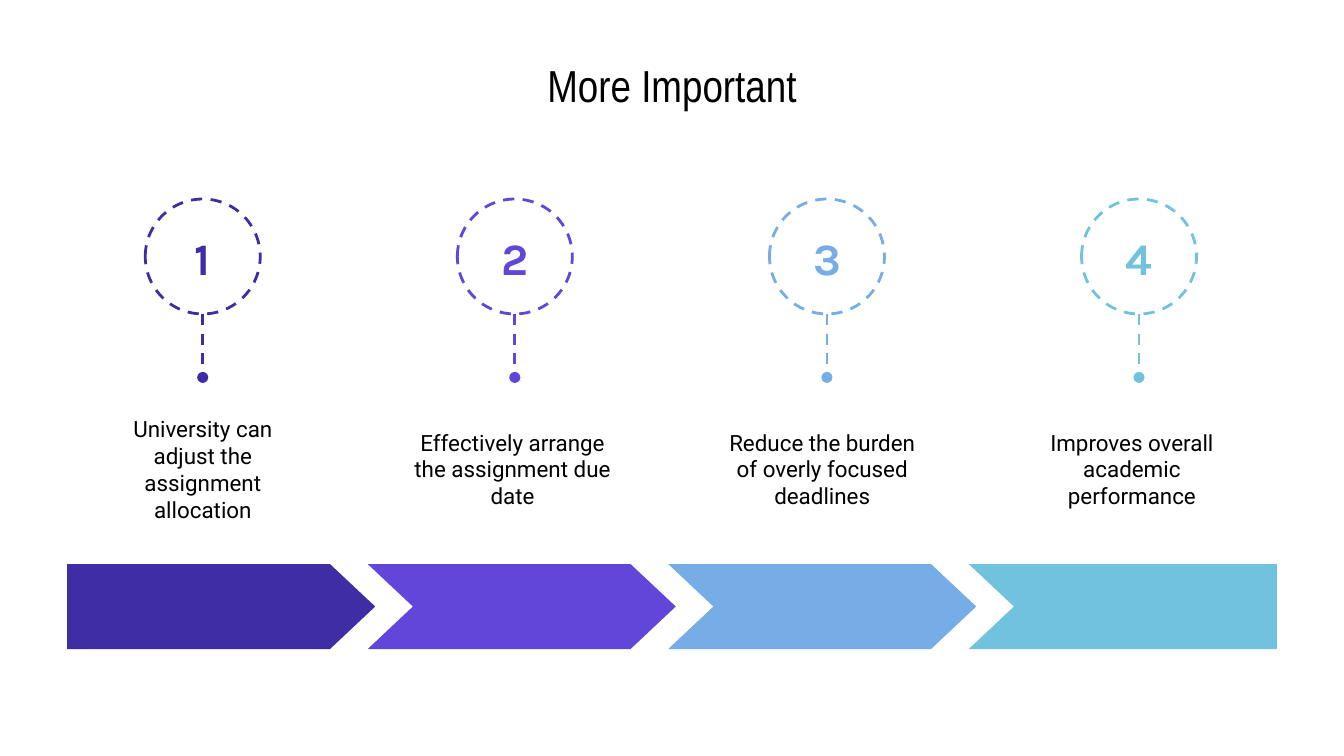
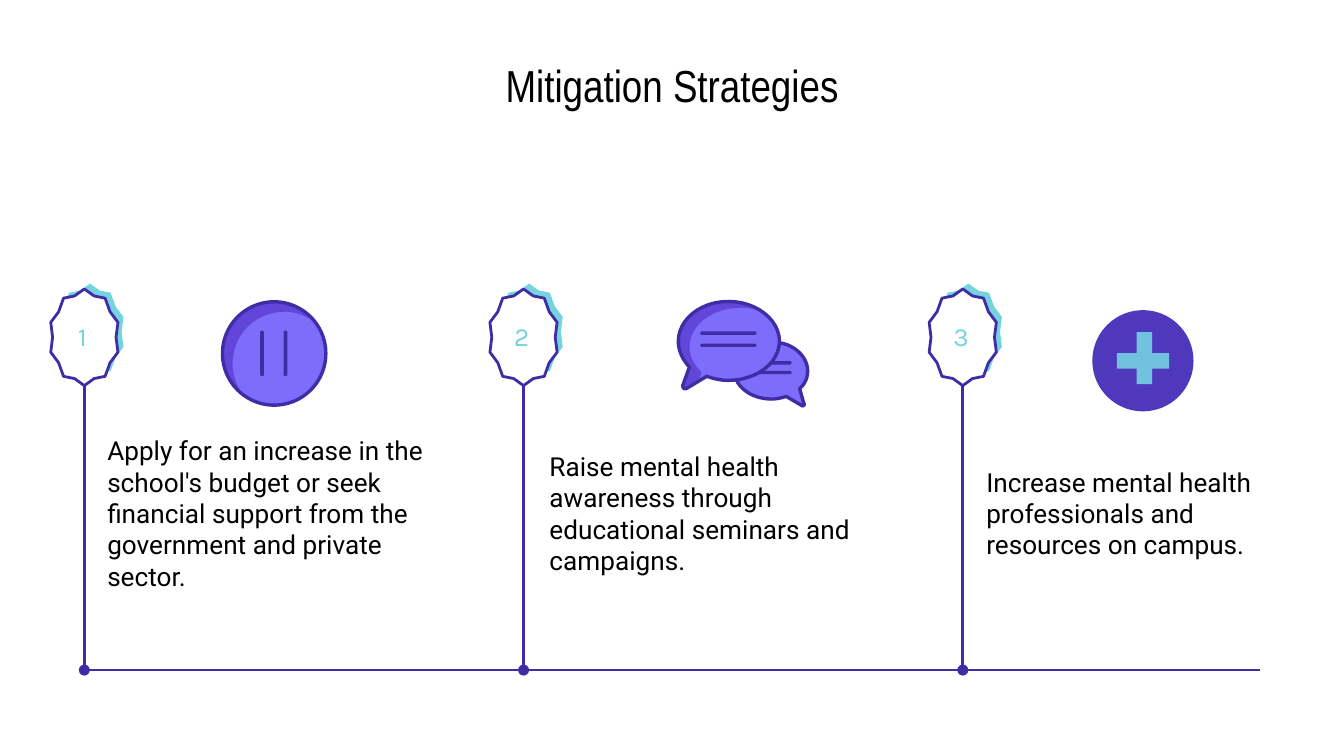
from dataclasses import dataclass
from typing import Optional

from lxml import etree
from pptx import Presentation
from pptx import util as u
from pptx.dml.color import RGBColor
from pptx.enum import dml, shapes, text
from pptx.oxml.ns import qn

Pt = u.Pt
Kind = shapes.MSO_SHAPE
CENTER, LEFT = text.PP_ALIGN.CENTER, text.PP_ALIGN.LEFT

# Shared look
INDIGO, VIOLET, LAVENDER = "3F2DA5", "6146D9", "7E6CFB"
SKY, AQUA, TEAL = "77ADE6", "70C2DF", "74D3DC"
PLUM, WHITE, BLACK = "5038BC", "FFFFFF", "000000"
TITLE_FONT, NUMBER_FONT, BODY_FONT = "Arial Narrow", "Karla", "Roboto"
STROKE = 1.5
ICON_STROKE = 1.8


@dataclass
class Box:
    left: float
    top: float
    width: float
    height: float

    def lengths(self):
        return Pt(self.left), Pt(self.top), Pt(self.width), Pt(self.height)


@dataclass
class Stage:
    color: str
    benefit: str


@dataclass
class Strategy:
    wording: str
    left: float
    width: float


STAGES = [
    Stage(INDIGO, "University can adjust the assignment allocation"),
    Stage(VIOLET, "Effectively arrange the assignment due date"),
    Stage(SKY, "Reduce the burden of overly focused deadlines"),
    Stage(AQUA, "Improves overall academic performance"),
]

STRATEGIES = [
    Strategy("Apply for an increase in the school's budget or seek financial "
             "support from the government and private sector.", 50.4, 192.2),
    Strategy("Raise mental health awareness through educational seminars and campaigns.",
             287.3, 191.5),
    Strategy("Increase mental health professionals and resources on campus.",
             521.3, 174.2),
]

# Icon outlines: a pair is a straight step, six numbers are a Bézier curve
COIN_SHADE = [
    (146.9, 162), (131.8, 162, 118.8, 174.2, 118.8, 189.4),
    (118.8, 198.7, 123.8, 206.6, 130.3, 211.7),
    (126.7, 206.6, 124.6, 200.9, 124.6, 195.1),
    (124.6, 179.3, 136.8, 167, 152.6, 167),
    (158.4, 167, 164.2, 169.2, 169.2, 172.8),
    (164.2, 166.3, 156.2, 162, 146.9, 162),
]
BUBBLE_SIDE = [
    (390.2, 161.5), (375.1, 161.5, 363.4, 171.4, 363.4, 182.8),
    (363.4, 187.9, 365.8, 193, 369.4, 196.6), (365.8, 206.6),
    (365.8, 207.6, 366.5, 208.8, 367.9, 208.1),
]
BUBBLE = BUBBLE_SIDE + [
    (378.7, 201.6), (382.3, 203, 386.6, 203.8, 390.2, 203.8),
    (405.4, 203.8, 417.6, 194.4, 417.6, 182.8),
    (417.6, 171.4, 405.4, 161.5, 390.2, 161.5),
]
BUBBLE_SHADE = BUBBLE_SIDE + [
    (374.4, 204.5), (375.8, 199.4),
    (372.2, 195.8, 369.4, 191.5, 369.4, 185.8),
    (369.4, 174.2, 381.6, 164.9, 396.7, 164.9),
    (401, 164.9, 405.4, 165.6, 409, 167),
    (403.9, 163.4, 397.4, 161.5, 390.2, 161.5),
]
REPLY_BUBBLE = [
    (417.6, 183.6), (426.2, 185, 432.7, 191.5, 432.7, 198.7),
    (432.7, 202.3, 431.3, 205.9, 428.4, 208.1), (430.6, 216),
    (431.3, 216.7, 430.6, 217.6, 429.8, 217.4), (421.2, 212.4),
    (419, 213.1, 416.2, 213.8, 413.3, 213.8),
    (404.6, 213.8, 397.4, 209.5, 394.6, 203.8),
]
ICON_BARS = [
    Box(139.4, 177.1, 2, 24.5), Box(151.9, 177.1, 2, 24.5),
    Box(375.1, 177.6, 30.2, 1.8), Box(375.1, 184.1, 30.2, 1.8),
    Box(412.6, 193.5, 11.5, 1.8), Box(406.1, 198.7, 18, 1.8),
]


def rgb(color: str) -> RGBColor:
    return RGBColor.from_string(color)


def paint(shape, fill: Optional[str], line: Optional[str] = None,
          width: float = STROKE, dashed: bool = False) -> None:
    shape.shadow.inherit = False
    if fill:
        shape.fill.solid()
        shape.fill.fore_color.rgb = rgb(fill)
    else:
        shape.fill.background()
    if line:
        stroke(shape.line, line, width, dashed)
    else:
        shape.line.fill.background()


def stroke(line, color: str, width: float = STROKE, dashed: bool = False) -> None:
    line.color.rgb = rgb(color)
    line.width = Pt(width)
    if dashed:
        line.dash_style = dml.MSO_LINE.DASH


def add_preset(slide, kind, box: Box, fill: Optional[str], line: Optional[str] = None,
               width: float = STROKE, dashed: bool = False):
    shape = slide.shapes.add_shape(kind, *box.lengths())
    paint(shape, fill, line, width, dashed)
    return shape


def flatten(steps: list, pieces: int = 12) -> list:
    """Turn straight and Bézier steps into a list of corner points."""
    points = [steps[0]]
    for step in steps[1:]:
        if len(step) == 2:
            points.append(step)
            continue
        curve = (points[-1], step[:2], step[2:4], step[4:])
        for n in range(1, pieces + 1):
            t = n / pieces
            weights = ((1 - t) ** 3, 3 * t * (1 - t) ** 2, 3 * t * t * (1 - t), t ** 3)
            points.append(tuple(sum(w * p[axis] for w, p in zip(weights, curve))
                                for axis in (0, 1)))
    return points


def add_outline(slide, steps: list, fill: Optional[str], line: Optional[str] = None,
                width: float = ICON_STROKE) -> None:
    start, *rest = [(Pt(x), Pt(y)) for x, y in flatten(steps)]
    builder = slide.shapes.build_freeform(*start)
    builder.add_line_segments(rest, close=True)
    paint(builder.convert_to_shape(), fill, line, width)


def add_line(slide, x1: float, y1: float, x2: float, y2: float, color: str,
             dashed: bool = False, dot: bool = False) -> None:
    connector = slide.shapes.add_connector(shapes.MSO_CONNECTOR.STRAIGHT,
                                           Pt(x1), Pt(y1), Pt(x2), Pt(y2))
    stroke(connector.line, color, dashed=dashed)
    properties = connector._element.spPr
    if dot:
        etree.SubElement(properties.find(qn("a:ln")), qn("a:tailEnd"), type="oval")
    etree.SubElement(properties, qn("a:effectLst"))


def add_text(slide, box: Box, wording: str, font: str, size: float,
             color: str = BLACK, align=CENTER, bold: bool = False) -> None:
    frame = slide.shapes.add_textbox(*box.lengths()).text_frame
    frame.word_wrap = True
    frame.auto_size = text.MSO_AUTO_SIZE.NONE
    frame.vertical_anchor = text.MSO_ANCHOR.MIDDLE
    frame.margin_left = frame.margin_right = Pt(7.2)
    frame.margin_top = frame.margin_bottom = Pt(7.2)
    paragraph = frame.paragraphs[0]
    paragraph.text = wording
    paragraph.alignment = align
    paragraph.font.name = font
    paragraph.font.size = Pt(size)
    paragraph.font.bold = bold
    paragraph.font.color.rgb = rgb(color)


def add_titled_slide(deck, title: str):
    slide = deck.slides.add_slide(deck.slide_layouts[6])
    add_text(slide, Box(36, 32.4, 648, 25.9), title, TITLE_FONT, 24)
    return slide


def add_arrow(slide, index: int, color: str) -> None:
    """One link of the arrow band; its outer ends are flat."""
    left, top, bottom, point = 36 + 161 * index, 302.2, 347.7, 24.2
    right, middle = left + 165, (top + bottom) / 2
    corners = [(left, top)]
    if index > 0:
        corners.append((left + point, middle))
    corners.append((left, bottom))
    if index < len(STAGES) - 1:
        corners += [(right - point, bottom), (right, middle), (right - point, top)]
    else:
        corners += [(right, bottom), (right, top)]
    add_outline(slide, corners, color)


def build_importance(deck) -> None:
    slide = add_titled_slide(deck, "More Important")
    for i, stage in enumerate(STAGES):
        center = 108.6 + 167.2 * i
        add_arrow(slide, i, stage.color)
        add_preset(slide, Kind.OVAL, Box(center - 30.8, 106.6, 61.6, 61.6),
                   None, stage.color, dashed=True)
        add_line(slide, center, 168.2, center, 202.2, stage.color, dashed=True, dot=True)
        add_text(slide, Box(center - 23, 116.5, 46, 42.5), str(i + 1),
                 NUMBER_FONT, 24, stage.color, bold=True)
        add_text(slide, Box(48.2 + 165.9 * i, 211.7, 121, 79.2), stage.benefit, BODY_FONT, 12)


def add_marker(slide, index: int) -> None:
    """Numbered star on a stem that ends on the base line."""
    x = 45.2 + 235.3 * index
    for dx, top, fill, line in ((-15, 151.9, TEAL, None), (-18, 154.8, WHITE, INDIGO)):
        star = add_preset(slide, Kind.STAR_10_POINT, Box(x + dx, top, 36, 51.8), fill, line)
        star.adjustments[0] = 0.449
    add_line(slide, x, 206.6, x, 359, INDIGO, dot=True)
    add_text(slide, Box(x - 13.2, 166.5, 24.5, 27.4), str(index + 1), NUMBER_FONT, 14, TEAL)


def add_icons(slide) -> None:
    # Coin
    coin = Box(119.2, 161.7, 55.4, 55.4)
    add_preset(slide, Kind.OVAL, coin, LAVENDER)
    add_outline(slide, COIN_SHADE, VIOLET)
    add_preset(slide, Kind.OVAL, coin, None, INDIGO, ICON_STROKE)

    # Speech bubbles
    add_outline(slide, REPLY_BUBBLE, LAVENDER, INDIGO)
    add_outline(slide, BUBBLE, LAVENDER)
    add_outline(slide, BUBBLE_SHADE, VIOLET)
    add_outline(slide, BUBBLE, None, INDIGO)

    # Strokes on coin and bubbles
    for bar in ICON_BARS:
        add_preset(slide, Kind.ROUNDED_RECTANGLE, bar, INDIGO).adjustments[0] = 0.5

    # Health cross
    add_preset(slide, Kind.OVAL, Box(585.2, 166.2, 54.2, 54.2), PLUM)
    add_preset(slide, Kind.RECTANGLE, Box(598.3, 189.2, 28, 8.4), AQUA)
    add_preset(slide, Kind.RECTANGLE, Box(608.9, 177.9, 8.4, 28), AQUA)


def build_strategies(deck) -> None:
    slide = add_titled_slide(deck, "Mitigation Strategies")
    add_line(slide, 44, 359, 675, 359, INDIGO)
    for i, strategy in enumerate(STRATEGIES):
        add_marker(slide, i)
        add_text(slide, Box(strategy.left, 215.5, strategy.width, 118.8),
                 strategy.wording, BODY_FONT, 14, align=LEFT)
    add_icons(slide)


def main() -> None:
    deck = Presentation()
    deck.slide_width, deck.slide_height = Pt(720), Pt(405)
    build_importance(deck)
    build_strategies(deck)
    deck.save("out.pptx")


if __name__ == "__main__":
    main()
